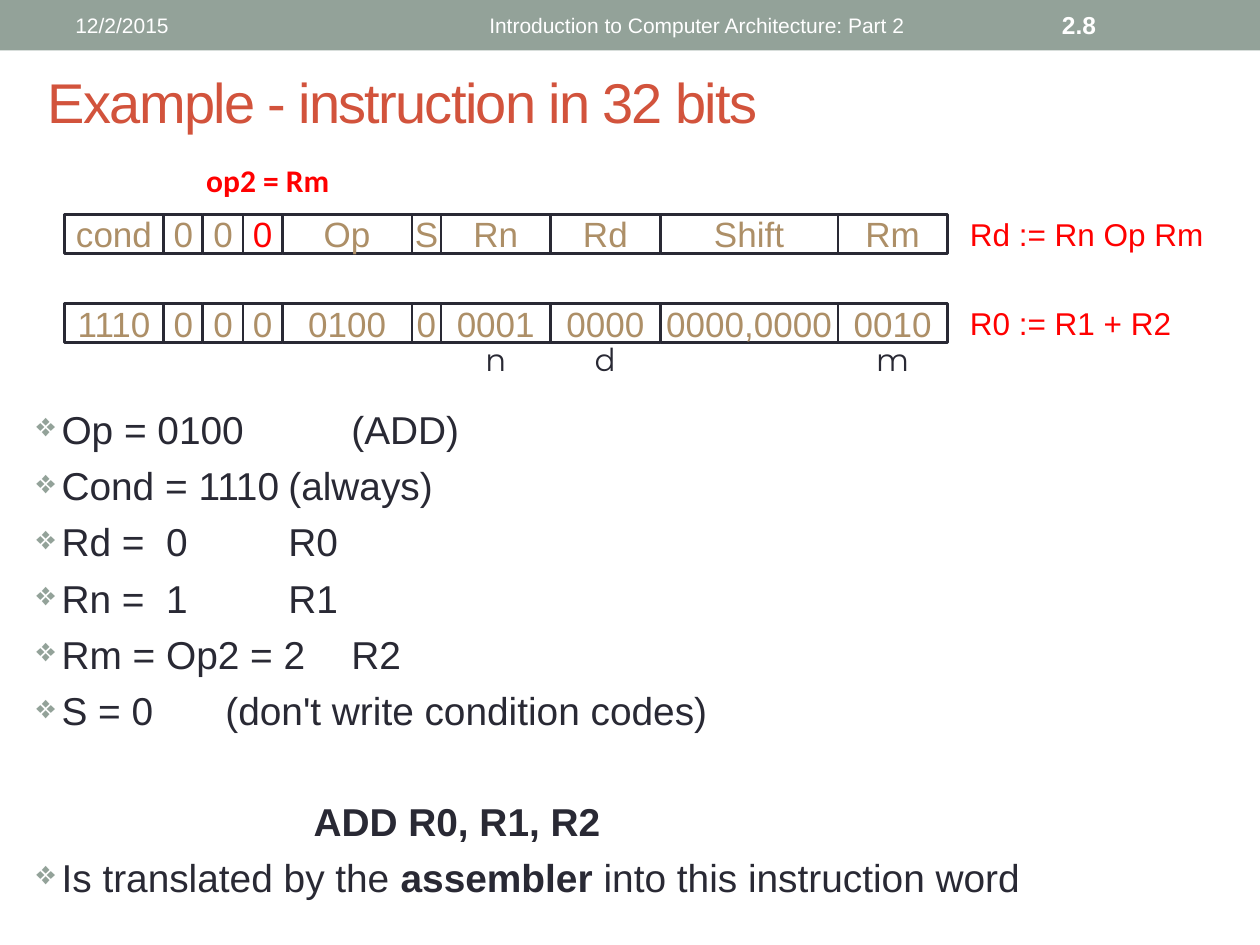
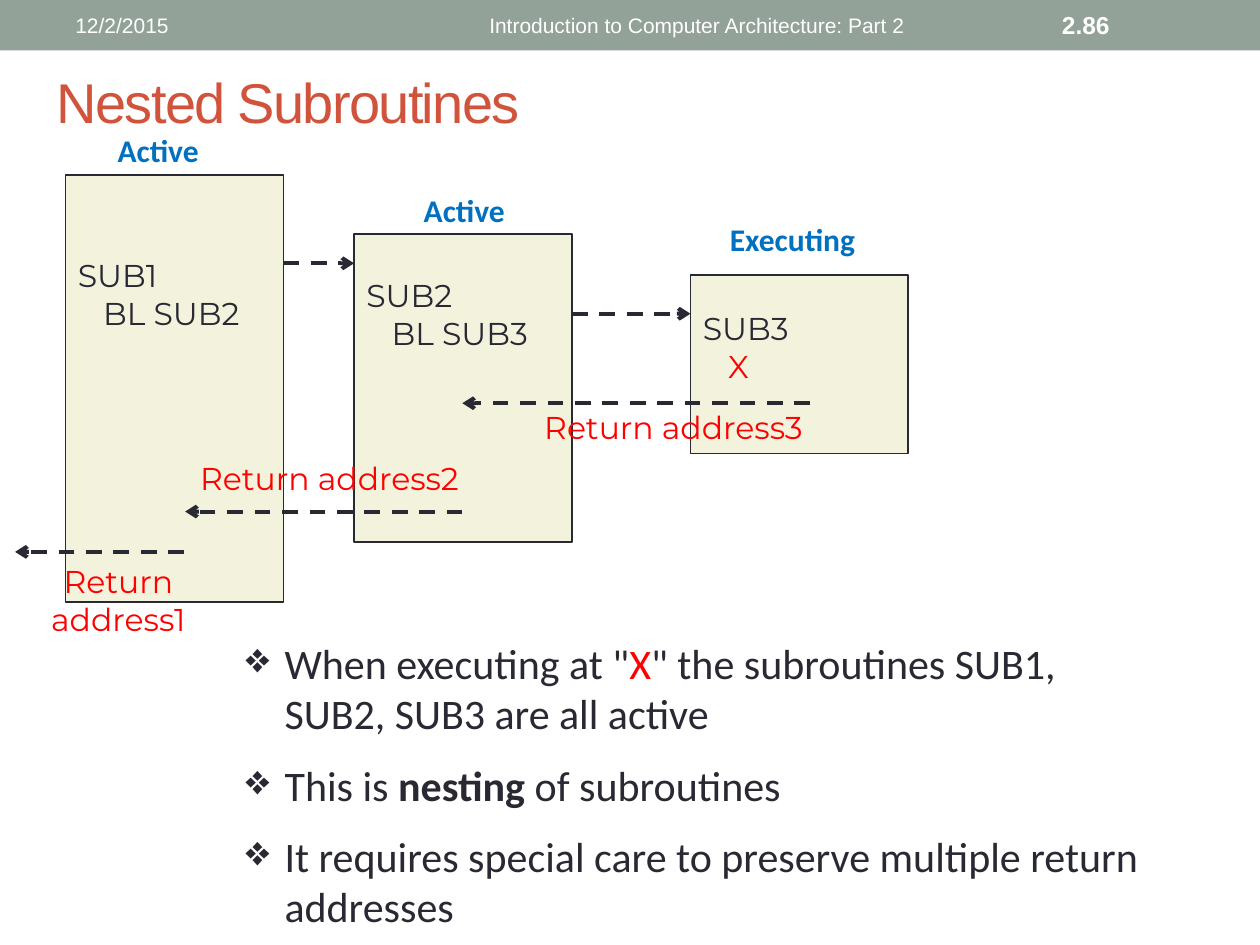
from lxml import etree
from pptx import Presentation
from pptx import util as u
from pptx.dml.color import RGBColor
from pptx.enum import dml, shapes, text
from pptx.oxml.ns import qn

COLORS = {"band": "93A299", "title": "D2533C", "ink": "292934", "tan": "AD8F67",
          "red": "FF0000", "blue": "0070C0", "cream": "F3F2DC", "white": "FFFFFF"}
LEFT, CENTER, RIGHT = text.PP_ALIGN.LEFT, text.PP_ALIGN.CENTER, text.PP_ALIGN.RIGHT
TOP, MIDDLE = text.MSO_ANCHOR.TOP, text.MSO_ANCHOR.MIDDLE
RECT = shapes.MSO_SHAPE.RECTANGLE


def write(sp, paras, size=18, font="Arial", color="ink", bold=False, align=LEFT,
          anchor=TOP, wrap=True, insets=(0.1, 0.05), before=0, indent=0,
          bullet=False, bullet_color="ink", bullet_size=100, spacing=0):
    tf = sp.text_frame
    tf.word_wrap = wrap
    tf.auto_size = text.MSO_AUTO_SIZE.NONE
    tf.vertical_anchor = anchor
    tf.margin_left = tf.margin_right = u.Inches(insets[0])
    tf.margin_top = tf.margin_bottom = u.Inches(insets[1])
    for i, runs in enumerate([paras] if isinstance(paras, str) else paras):
        p = tf.paragraphs[0] if i == 0 else tf.add_paragraph()
        p.alignment = align
        p.space_before = u.Pt(before)
        if bullet:
            pPr = p._p.get_or_add_pPr()
            pPr.set("marL", str(u.Inches(indent)))
            pPr.set("indent", str(-u.Inches(indent)))
            clr = etree.SubElement(pPr, qn("a:buClr"))
            etree.SubElement(clr, qn("a:srgbClr"), val=COLORS[bullet_color])
            etree.SubElement(pPr, qn("a:buSzPct"), val=str(bullet_size * 1000))
            etree.SubElement(pPr, qn("a:buChar"), char="❖")
        for run in [(runs, {})] if isinstance(runs, str) else runs:
            r = p.add_run()
            r.text = run[0]
            r.font.size = u.Pt(size)
            r.font.name = font
            r.font.bold = run[1].get("bold", bold)
            r.font.color.rgb = RGBColor.from_string(COLORS[run[1].get("color", color)])
            if spacing:
                r._r.get_or_add_rPr().set("spc", str(spacing * 100))
    return tf


def box(s, x, y, w, h, fill=None, line=None, weight=1):
    sp = s.shapes.add_shape(RECT, u.Inches(x), u.Inches(y), u.Inches(w), u.Inches(h))
    sp.shadow.inherit = False
    if fill:
        sp.fill.solid()
        sp.fill.fore_color.rgb = RGBColor.from_string(COLORS[fill])
    else:
        sp.fill.background()
    if line:
        sp.line.color.rgb = RGBColor.from_string(COLORS[line])
        sp.line.width = u.Pt(weight)
    else:
        sp.line.fill.background()
    return sp


prs = Presentation()
prs.slide_width, prs.slide_height = u.Inches(10), u.Inches(7.5)

slides = []
for title, x, w, number in [("Example - instruction in 32 bits", 0.28, 9, "2.8"),
                            ("Nested Subroutines", 0.35, 8.2, "2.86")]:
    s = prs.slides.add_slide(prs.slide_layouts[5])
    box(s, 0, 0, 10, 0.4, fill="band")
    sp = s.shapes.title
    sp.left, sp.top, sp.width, sp.height = [u.Inches(v) for v in (x, 0.44, w, 0.73)]
    write(sp, title, size=32, color="title", anchor=MIDDLE, spacing=-1)
    for words, left, width, fmt in [
            ("12/2/2015", 0.5, 2.06, {"size": 12}),
            ("Introduction to Computer Architecture: Part 2", 2.78, 4.5,
             {"size": 12, "align": RIGHT}),
            (number, 8.33, 1.17, {"size": 14, "bold": True})]:
        sp = s.shapes.add_textbox(u.Inches(left), u.Inches(0.02), u.Inches(width), u.Inches(0.36))
        write(sp, words, color="white", anchor=MIDDLE, **fmt)
    slides.append(s)

s = slides[0]
fields = ["cond", "0", "0", "0", "Op", "S", "Rn", "Rd", "Shift", "Rm"]
values = ["1110", "0", "0", "0", "0100", "0", "0001", "0000", "0000,0000", "0010"]
widths = [0.79, 0.31, 0.32, 0.31, 1.03, 0.23, 0.87, 0.87, 1.41, 0.87]
registers = {6: "n", 7: "d", 9: "m"}
for y, cells, meaning in [(1.7, fields, "Rd := Rn Op Rm"), (2.41, values, "R0 := R1 + R2")]:
    x = 0.51
    for i, (cell, w) in enumerate(zip(cells, widths)):
        sp = box(s, x, y, w, 0.31, line="ink", weight=1.5)
        write(sp, cell, size=20, color="red" if cells is fields and i == 3 else "tan",
              align=CENTER, anchor=MIDDLE, wrap=False, insets=(0, 0))
        if cells is values and i in registers:
            sp = s.shapes.add_textbox(u.Inches(x), u.Inches(2.65), u.Inches(w), u.Inches(0.5))
            write(sp, registers[i], font="Montserrat", align=CENTER)
        x += w
    sp = s.shapes.add_textbox(u.Inches(7.6), u.Inches(y), u.Inches(2.16), u.Inches(0.31))
    write(sp, meaning, color="red", anchor=MIDDLE)

sp = s.shapes.add_textbox(u.Inches(1.53), u.Inches(1.23), u.Inches(1.19), u.Inches(0.4))
write(sp, "op2 = Rm", font="Calibri", color="red", bold=True, align=CENTER, wrap=False)

sp = s.shapes.add_textbox(u.Inches(0.19), u.Inches(3.17), u.Inches(9.45), u.Inches(3.75))
tf = write(sp, ["Op = 0100\t\t(ADD)", "Cond = 1110\t(always)", "Rd =  0\t\tR0", "Rn =  1\t\tR1",
                "Rm = Op2 = 2\tR2", "S = 0\t\t(don't write condition codes)",
                [("ADD R0, R1, R2", {"bold": True})],
                [("Is translated by the ", {}), ("assembler", {"bold": True}),
                 (" into this instruction word", {})]],
           size=22.2, before=5.5, indent=0.2, bullet=True,
           bullet_color="band", bullet_size=85)
p = tf.paragraphs[6]
p.space_before = u.Pt(36.5)
pPr = p._p.get_or_add_pPr()
for tag in ("a:buClr", "a:buSzPct", "a:buChar"):
    pPr.remove(pPr.find(qn(tag)))
etree.SubElement(pPr, qn("a:buNone"))
pPr.set("marL", str(u.Inches(2.2)))
pPr.set("indent", "0")

s = slides[1]
for x, y, h, inset, name, body, color in [
        (0.52, 1.39, 3.39, 0.64, "SUB1", "BL SUB2", "ink"),
        (2.81, 1.86, 2.44, 0.33, "SUB2", "BL SUB3", "ink"),
        (5.48, 2.18, 1.42, 0.27, "SUB3", "X", "red")]:
    sp = box(s, x, y, 1.73, h, fill="cream", line="ink")
    tf = write(sp, [name, [(body, {"color": color})]], font="Montserrat", insets=(0.1, inset))
    tf.margin_bottom = 0
    tf.paragraphs[1]._p.get_or_add_pPr().set("marL", str(u.Inches(0.2)))

for x1, x2, y in [(2.25, 2.81, 2.09), (4.54, 5.48, 2.49), (6.43, 3.67, 3.2),
                  (3.67, 1.47, 4.06), (1.46, 0.12, 4.38)]:
    c = s.shapes.add_connector(shapes.MSO_CONNECTOR.STRAIGHT, u.Inches(x1), u.Inches(y),
                               u.Inches(x2), u.Inches(y))
    c.line.color.rgb = RGBColor.from_string(COLORS["ink"])
    c.line.width = u.Pt(2.25)
    c.line.dash_style = dml.MSO_LINE.DASH
    etree.SubElement(c.line._get_or_add_ln(), qn("a:tailEnd"), type="arrow")
    etree.SubElement(c._element.spPr, qn("a:effectLst"))

for words, x, y, w, h in [("Return address3", 4.1, 3.19, 2.49, 0.4),
                          ("Return address2", 1.37, 3.59, 2.49, 0.4),
                          ("Return address1", 0.11, 4.41, 1.66, 0.71)]:
    sp = s.shapes.add_textbox(u.Inches(x), u.Inches(y), u.Inches(w), u.Inches(h))
    write(sp, words, font="Montserrat", color="red", align=CENTER, wrap=h > 0.4)

for words, x, y, w in [("Active", 0.83, 0.99, 0.85), ("Active", 3.26, 1.47, 0.85),
                       ("Executing", 5.69, 1.7, 1.2)]:
    sp = s.shapes.add_textbox(u.Inches(x), u.Inches(y), u.Inches(w), u.Inches(0.4))
    write(sp, words, font="Calibri", color="blue", bold=True, align=CENTER, wrap=False)

sp = s.shapes.add_textbox(u.Inches(1.85), u.Inches(5.01), u.Inches(7.32), u.Inches(2.46))
write(sp, [[("When executing at \"", {}), ("X", {"color": "red"}),
            ("\" the subroutines SUB1, SUB2, SUB3 are all active", {})],
           [("This is ", {}), ("nesting", {"bold": True}), (" of subroutines", {})],
           "It requires special care to preserve multiple return addresses"],
      size=24, font="Calibri", before=12, indent=0.31, bullet=True)

prs.save("out.pptx")
